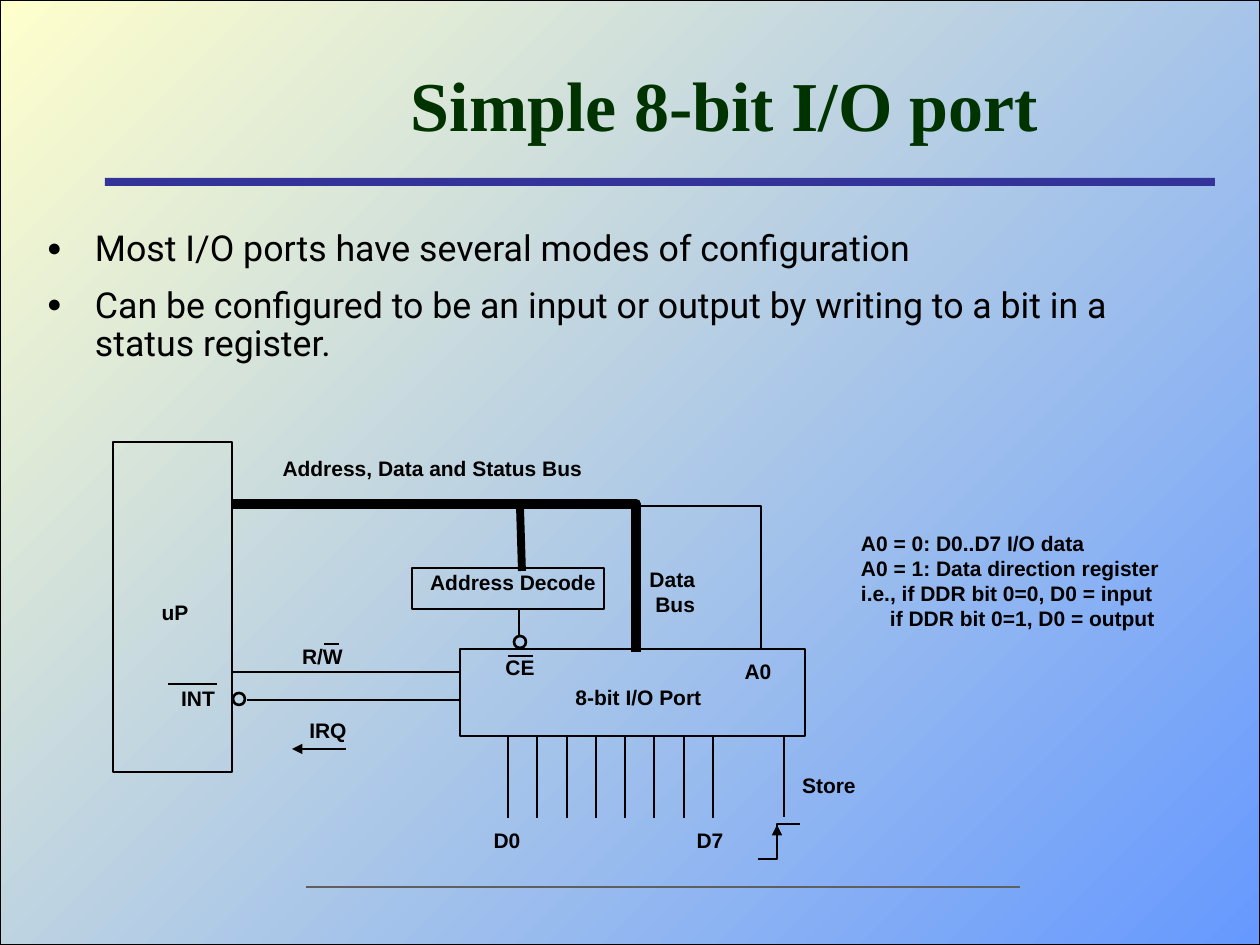
from lxml.etree import SubElement
from pptx import Presentation
from pptx.dml.color import RGBColor
from pptx.enum.shapes import MSO_CONNECTOR, MSO_SHAPE
from pptx.enum.text import MSO_ANCHOR, PP_ALIGN
from pptx.oxml.ns import qn
from pptx.util import Emu, Pt

EMU_PER_PX = 914400 / 126
BLACK = RGBColor(0x00, 0x00, 0x00)
BLUE = RGBColor(0x66, 0x99, 0xFF)
CREAM = RGBColor(0xFF, 0xFF, 0xCC)
INDIGO = RGBColor(0x33, 0x33, 0x99)
GREY = RGBColor(0x5F, 0x5F, 0x5F)
GREEN = RGBColor(0x00, 0x33, 0x00)


def px(length):
    return Emu(round(length * EMU_PER_PX))


def add_shape(slide, kind, left, top, width, height, fill=None, line=BLACK, weight=1.5):
    shape = slide.shapes.add_shape(kind, px(left), px(top), px(width), px(height))
    shape.shadow.inherit = False
    if fill is None:
        shape.fill.background()
    else:
        shape.fill.solid()
        shape.fill.fore_color.rgb = fill
    if line is None:
        shape.line.fill.background()
    else:
        shape.line.color.rgb = line
        shape.line.width = Pt(weight)
    return shape


def add_line(slide, x1, y1, x2, y2, color=BLACK, weight=1.5, arrow=False):
    wire = slide.shapes.add_connector(
        MSO_CONNECTOR.STRAIGHT, px(x1), px(y1), px(x2), px(y2))
    wire.line.color.rgb = color
    wire.line.width = Pt(weight)
    if arrow:
        SubElement(wire.line._get_or_add_ln(), qn("a:tailEnd"), type="triangle")
    SubElement(wire._element.spPr, qn("a:effectLst"))


def add_path(slide, points, weight=1.5):
    start, *rest = [(px(x), px(y)) for x, y in points]
    builder = slide.shapes.build_freeform(*start, scale=1.0)
    builder.add_line_segments(rest, close=False)
    path = builder.convert_to_shape()
    path.shadow.inherit = False
    path.fill.background()
    path.line.color.rgb = BLACK
    path.line.width = Pt(weight)


def add_bullet(paragraph, hanging):
    properties = paragraph._p.get_or_add_pPr()
    properties.set("marL", str(px(hanging)))
    properties.set("indent", str(-px(hanging)))
    bullet_color = SubElement(properties, qn("a:buClr"))
    SubElement(bullet_color, qn("a:srgbClr"), val=str(BLACK))
    SubElement(properties, qn("a:buSzPct"), val="70000")
    SubElement(properties, qn("a:buFont"), typeface="Arial")
    SubElement(properties, qn("a:buChar"), char="●")


def add_text(slide, text, left, top, width, height, size=12, font="Arial", color=BLACK,
             bold=True, align=PP_ALIGN.CENTER, anchor=MSO_ANCHOR.MIDDLE, wrap=False,
             side_margin=0, hanging=0, line_spacing=None, space_before=0):
    frame = slide.shapes.add_textbox(px(left), px(top), px(width), px(height)).text_frame
    frame.word_wrap = wrap
    frame.vertical_anchor = anchor
    frame.margin_left = frame.margin_right = px(side_margin)
    frame.text = text
    for index, paragraph in enumerate(frame.paragraphs):
        if hanging:
            add_bullet(paragraph, hanging)
        paragraph.alignment = align
        if line_spacing:
            paragraph.line_spacing = line_spacing
        if index and space_before:
            paragraph.space_before = Pt(space_before)
        paragraph.font.size = Pt(size)
        paragraph.font.name = font
        paragraph.font.bold = bold
        paragraph.font.color.rgb = color
    return frame


def add_backdrop(slide):
    backdrop = add_shape(slide, MSO_SHAPE.RECTANGLE, 0, 0, 1260, 945, weight=0.75)
    backdrop.fill.gradient()
    backdrop.fill.gradient_angle = 135
    for stop, color, position in zip(backdrop.fill.gradient_stops, (BLUE, CREAM), (0, 1)):
        stop.color.rgb = color
        stop.position = position
    add_shape(slide, MSO_SHAPE.RECTANGLE, 105, 178, 1110, 8, fill=INDIGO, line=None)
    add_line(slide, 306, 887, 1020, 887, color=GREY)


def add_blocks(slide):
    for block in ((113, 442, 119, 330), (460, 649, 345, 87), (412, 568, 192, 41)):
        add_shape(slide, MSO_SHAPE.RECTANGLE, *block)
    for left, top in ((233, 693), (514, 636)):
        add_shape(slide, MSO_SHAPE.OVAL, left, top, 12, 12)


def add_wiring(slide):
    add_path(slide, [(233, 504), (636, 504), (636, 652)], weight=6)
    add_line(slide, 520, 506, 522, 571, weight=4.5)
    add_path(slide, [(761, 648), (761, 506), (639, 506)])
    add_line(slide, 519, 609, 519, 636)
    add_line(slide, 460, 672, 233, 672)
    add_line(slide, 247, 700, 460, 700)
    add_line(slide, 346, 749, 292, 749, arrow=True)

    for bit in range(8):
        data_x = 508 + round(bit * 205 / 7)
        add_line(slide, data_x, 737, data_x, 818)
    add_line(slide, 784, 736, 784, 817)
    add_path(slide, [(758, 859), (777, 859), (777, 824), (800, 824)])
    add_line(slide, 777, 856, 777, 825, arrow=True)

    for x1, x2, y in ((168, 217, 684), (508, 533, 656), (324, 339, 644)):
        add_line(slide, x1, y, x2, y)


def add_labels(slide):
    labels = (
        ("uP", 149, 593, 52),
        ("Address, Data and Status Bus", 270, 449, 325),
        ("INT", 168, 679, 60),
        ("IRQ", 297, 711, 62),
        ("8-bit I/O Port", 563, 678, 151),
        ("Store", 790, 766, 78),
        ("CE", 493, 648, 54),
        ("Address Decode", 418, 563, 190),
        ("A0", 732, 652, 52),
        ("D0", 481, 821, 52),
        ("D7", 684, 821, 52),
        ("R/W", 290, 637, 65),
    )
    for text, left, top, width in labels:
        add_text(slide, text, left, top, width, 38)
    add_text(slide, "Data\nBus", 640, 560, 55, 63, align=PP_ALIGN.RIGHT)

    register_notes = add_text(
        slide,
        "A0 = 0: D0..D7 I/O data\n"
        "A0 = 1: Data direction register\n"
        "i.e., if DDR bit 0=0, D0 = input\n"
        "if DDR bit 0=1, D0 = output",
        861, 524, 340, 114, align=PP_ALIGN.LEFT, anchor=MSO_ANCHOR.TOP, wrap=True)
    register_notes.paragraphs[-1]._p.get_or_add_pPr().set("marL", str(px(29)))


def main():
    presentation = Presentation()
    presentation.slide_width = px(1260)
    presentation.slide_height = px(945)
    slide = presentation.slides.add_slide(presentation.slide_layouts[6])

    add_backdrop(slide)
    add_text(slide, "Simple 8-bit I/O port", 237, 42, 975, 123,
             size=40, font="Times New Roman", color=GREEN, wrap=True, side_margin=13)
    add_blocks(slide)
    add_wiring(slide)
    add_labels(slide)
    add_text(slide,
             "Most I/O ports have several modes of configuration\n"
             "Can be configured to be an input or output by writing to a bit in a "
             "status register.",
             34, 224, 1123, 159, size=20.4, font="Roboto", bold=False,
             align=PP_ALIGN.LEFT, anchor=MSO_ANCHOR.TOP, wrap=True, side_margin=13,
             hanging=48, line_spacing=0.9, space_before=10.5)

    presentation.save("out.pptx")


if __name__ == "__main__":
    main()
